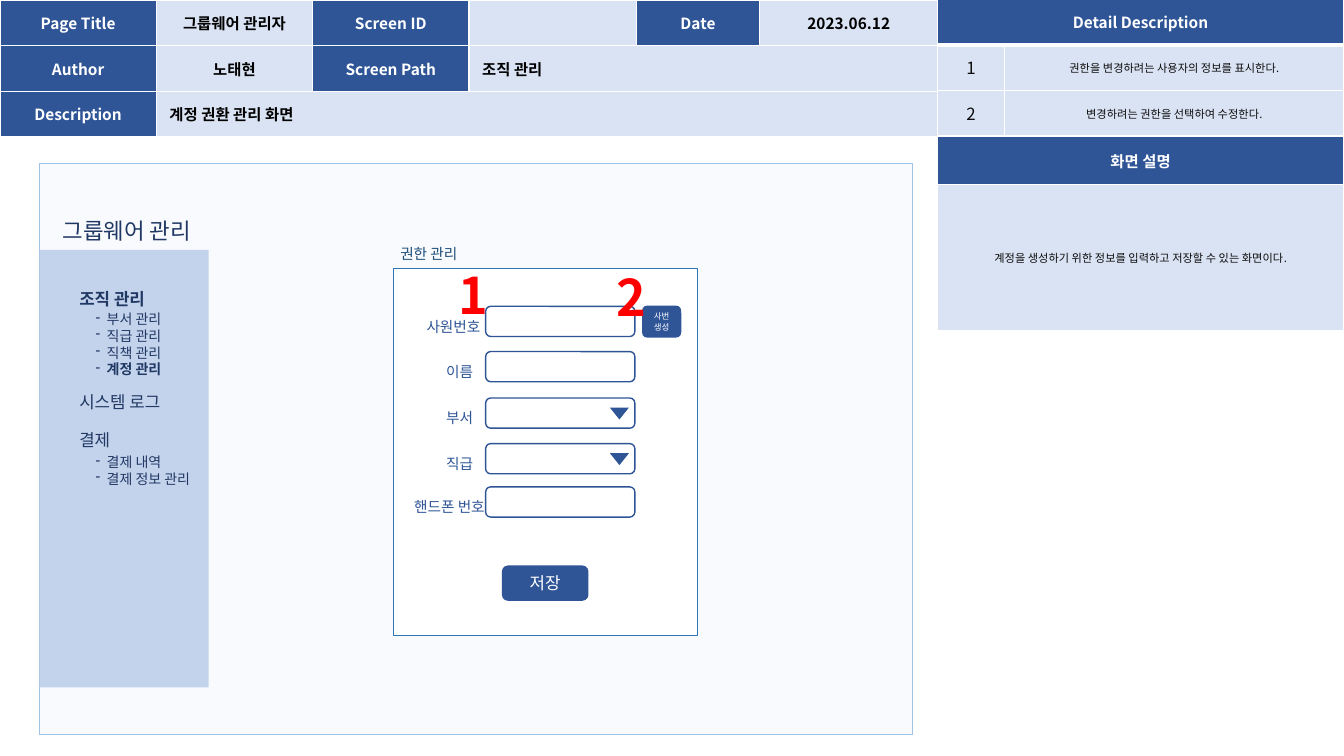
"""Build the account permission screen specification slide."""
from lxml.etree import SubElement
from pptx import Presentation
from pptx.dml.color import RGBColor
from pptx.enum.shapes import MSO_SHAPE as Shape
from pptx.enum.text import MSO_ANCHOR as Anchor, PP_ALIGN as Align
from pptx.oxml import parse_xml
from pptx.oxml.ns import nsdecls, qn
from pptx.util import Cm, Pt

FONT = "Noto Sans CJK KR"
BLUE, PALE, WHITE, NAVY = "2F5597", "DAE3F3", "FFFFFF", "203864"
BLACK, INK, RED = "000000", "0D0D0D", "FF0000"
FIELDS = [
    ("사원번호", 7.72, 10.5, Align.LEFT, False),
    ("이름", 8.86, 10.19, Align.CENTER, False),
    ("부서", 10.03, 10.19, Align.CENTER, True),
    ("직급", 11.18, 10.19, Align.CENTER, True),
    ("핸드폰 번호", 12.27, 10.19, Align.LEFT, False),
]


def paint(target, color):
    """Give a shape, cell or font fill a solid colour."""
    target.solid()
    target.fore_color.rgb = RGBColor.from_string(color)


def write(para, text, size, color, bold=False, align=Align.LEFT):
    """Add one styled run to a paragraph."""
    para.alignment = align
    span = para.add_run()
    span.text = text
    span.font.size = Pt(size)
    span.font.bold = bold
    span.font.name = FONT
    paint(span.font.fill, color)
    SubElement(span.font._element, qn("a:ea"), typeface=FONT)


def add_box(page, left, top, width, height, inset=0.25):
    """Add a wrapping, vertically centred text box and return its frame."""
    box = page.shapes.add_textbox(Cm(left), Cm(top), Cm(width), Cm(height))
    frame = box.text_frame
    frame.word_wrap = True
    frame.vertical_anchor = Anchor.MIDDLE
    frame.margin_left = frame.margin_right = Cm(inset)
    frame.margin_top = frame.margin_bottom = 0
    return frame


def add_label(page, left, top, width, height, text, size, color, **style):
    """Add a one-line label."""
    frame = add_box(page, left, top, width, height)
    write(frame.paragraphs[0], text, size, color, **style)


def add_submenu(page, top, height, items, current=None):
    """Add a dashed list of menu entries with the current one in bold."""
    frame = add_box(page, 2.16, top, 6.55, height)
    for index, item in enumerate(items):
        para = frame.add_paragraph() if index else frame.paragraphs[0]
        props = para._p.get_or_add_pPr()
        props.set("marL", str(Cm(0.28)))
        props.set("indent", str(-Cm(0.28)))
        SubElement(props, qn("a:buChar"), char="-")
        write(para, item, 10, NAVY, item == current)


def add_block(page, kind, left, top, width, height, fill, line=None, weight=1):
    """Add a filled preset shape with an optional outline."""
    block = page.shapes.add_shape(kind, Cm(left), Cm(top), Cm(width), Cm(height))
    block.shadow.inherit = False
    paint(block.fill, fill)
    if line:
        paint(block.line.fill, line)
        block.line.width = Pt(weight)
    else:
        block.line.fill.background()
    return block


def add_button(page, left, top, width, height, text, size):
    """Add a rounded blue button with a caption."""
    button = add_block(page, Shape.ROUNDED_RECTANGLE, left, top, width, height, BLUE)
    frame = button.text_frame
    frame.word_wrap = True
    frame.vertical_anchor = Anchor.MIDDLE
    write(frame.paragraphs[0], text, size, WHITE, align=Align.CENTER)


def add_field(page, name, top, label_left, align, dropdown):
    """Add a labelled input field, with an arrow if it is a dropdown."""
    add_label(page, label_left, top + 0.12, 2.79, 0.76, name, 10.5, BLUE, align=align)
    add_block(page, Shape.ROUNDED_RECTANGLE, 12.24, top, 3.76, 0.76, WHITE, BLUE)
    if dropdown:
        arrow = add_block(page, Shape.ISOSCELES_TRIANGLE, 15.37, top + 0.24, 0.48, 0.3, BLUE)
        arrow.rotation = 180


def add_grid(page, left, top, widths, heights):
    """Add an unfilled table with the given column widths and row heights."""
    frame = page.shapes.add_table(len(heights), len(widths), Cm(left), Cm(top),
                                  Cm(sum(widths)), Cm(sum(heights)))
    grid = frame.table
    for column, width in zip(grid.columns, widths):
        column.width = Cm(width)
    for row, height in zip(grid.rows, heights):
        row.height = Cm(height)
    return grid


def fill_cell(grid, row, column, text, size=11, color=BLACK, fill=PALE, bold=True,
              align=Align.CENTER, span=1, bottom=1):
    """Merge, fill, border and write one table cell."""
    cell = grid.cell(row, column)
    if span > 1:
        cell.merge(grid.cell(row, column + span - 1))
    cell.vertical_anchor = Anchor.MIDDLE
    cell.margin_left = cell.margin_right = Cm(0.33)
    cell.margin_top = cell.margin_bottom = Cm(0.12)
    write(cell.text_frame.paragraphs[0], text, size, color, bold, align)
    for offset in range(span):
        part = grid.cell(row, column + offset)
        paint(part.fill, fill)
        props = part._tc.get_or_add_tcPr()
        for index, side in enumerate("LRTB"):
            weight = Pt(bottom if side == "B" else 1)
            props.insert(index, parse_xml(
                f'<a:ln{side} {nsdecls("a")} w="{weight}"><a:solidFill>'
                f'<a:srgbClr val="{WHITE}"/></a:solidFill></a:ln{side}>'))


def add_page_header(page):
    """Add the table that identifies the screen."""
    grid = add_grid(page, 0, 0, [3.94, 3.94, 3.94, 4.22, 3.1, 4.5], [1.15] * 3)
    rows = [
        ["Page Title", "그룹웨어 관리자", "Screen ID", "", "Date", "2023.06.12"],
        ["Author", "노태현", "Screen Path", "조직 관리"],
        ["Description", "계정 권환 관리 화면"],
    ]
    for row, texts in enumerate(rows):
        for column, text in enumerate(texts):
            span = 6 - column if column == len(texts) - 1 else 1
            align = Align.LEFT if span > 1 else Align.CENTER
            color, fill = (BLACK, PALE) if column % 2 else (WHITE, BLUE)
            fill_cell(grid, row, column, text, color=color, fill=fill, align=align, span=span)


def add_details(page):
    """Add the table that describes the numbered areas and the screen."""
    grid = add_grid(page, 23.62, -0.02, [1.7, 8.55], [1.15, 1.15, 1.15, 1.22, 3.68])
    fill_cell(grid, 0, 0, "Detail Description", color=WHITE, fill=BLUE, span=2, bottom=3)
    notes = ["권한을 변경하려는 사용자의 정보를 표시한다.", "변경하려는 권한을 선택하여 수정한다."]
    for number, note in enumerate(notes, 1):
        fill_cell(grid, number, 0, str(number), 12, INK, bold=False)
        fill_cell(grid, number, 1, note, 8, INK, bold=False)
    fill_cell(grid, 3, 0, "화면 설명", color=WHITE, fill=BLUE, span=2)
    fill_cell(grid, 4, 0, "계정을 생성하기 위한 정보를 입력하고 저장할 수 있는 화면이다.",
              8, INK, bold=False, span=2)


def add_sidebar(page):
    """Add the navigation menu."""
    add_label(page, 1.33, 5.33, 8.31, 0.94, "그룹웨어 관리", 16, NAVY)
    sidebar = add_block(page, Shape.RECTANGLE, 0.99, 6.3, 4.27, 11.02, "B4C7E7")
    shade = sidebar._element.spPr.find(qn("a:solidFill"))[0]
    SubElement(shade, qn("a:alpha"), val="76000")
    menu = [("조직 관리", 7.18), ("시스템 로그", 9.77), ("결제", 10.73)]
    for index, (text, top) in enumerate(menu):
        add_label(page, 1.75, top, 6.55, 0.7, text, 12, NAVY, bold=index == 0)
    add_submenu(page, 7.82, 1.7, ["부서 관리", "직급 관리", "직책 관리", "계정 관리"], "계정 관리")
    add_submenu(page, 11.42, 0.86, ["결제 내역", "결제 정보 관리"])


def add_form(page):
    """Add the permission form with its numbered markers."""
    add_block(page, Shape.RECTANGLE, 9.91, 6.76, 7.67, 9.25, WHITE, "2E75B6", 0.25)
    add_label(page, 9.84, 6.03, 6.1, 0.71, "권한 관리", 10.5, "1F4E79")
    for field in FIELDS:
        add_field(page, *field)
    add_button(page, 12.65, 14.25, 2.18, 0.89, "저장", 12)
    add_button(page, 16.18, 7.7, 0.99, 0.81, "사번 생성", 6)
    for number, left, top in [("1", 11.3, 6.53), ("2", 15.29, 6.58)]:
        add_label(page, left, top, 1.63, 1.8, number, 36, RED, bold=True)


def main():
    """Create the deck and save it."""
    deck = Presentation()
    deck.slide_width, deck.slide_height = Cm(33.87), Cm(19.05)
    page = deck.slides.add_slide(deck.slide_layouts[6])
    add_page_header(page)
    add_details(page)
    add_block(page, Shape.RECTANGLE, 0.99, 4.11, 22, 14.4, "F9FAFD", "9DC3E6", 0.5)
    add_sidebar(page)
    add_form(page)
    deck.save("out.pptx")


if __name__ == "__main__":
    main()
